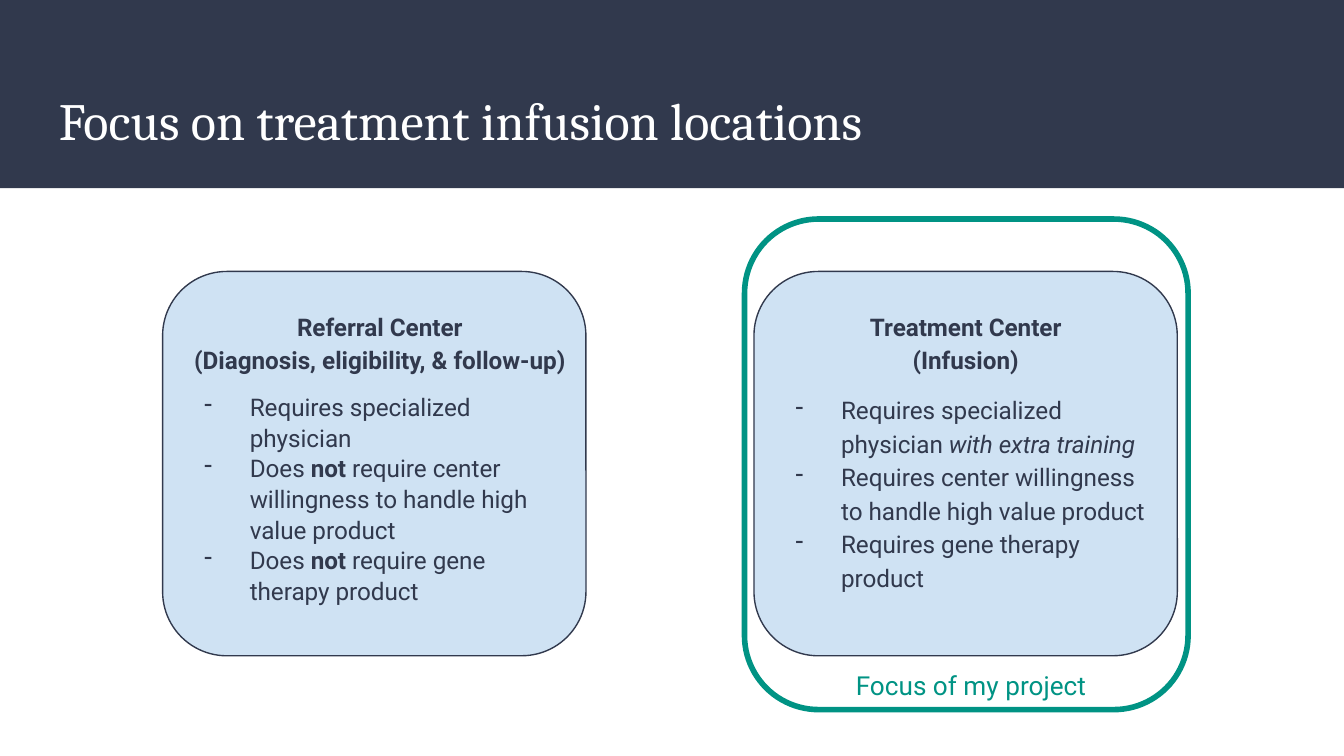
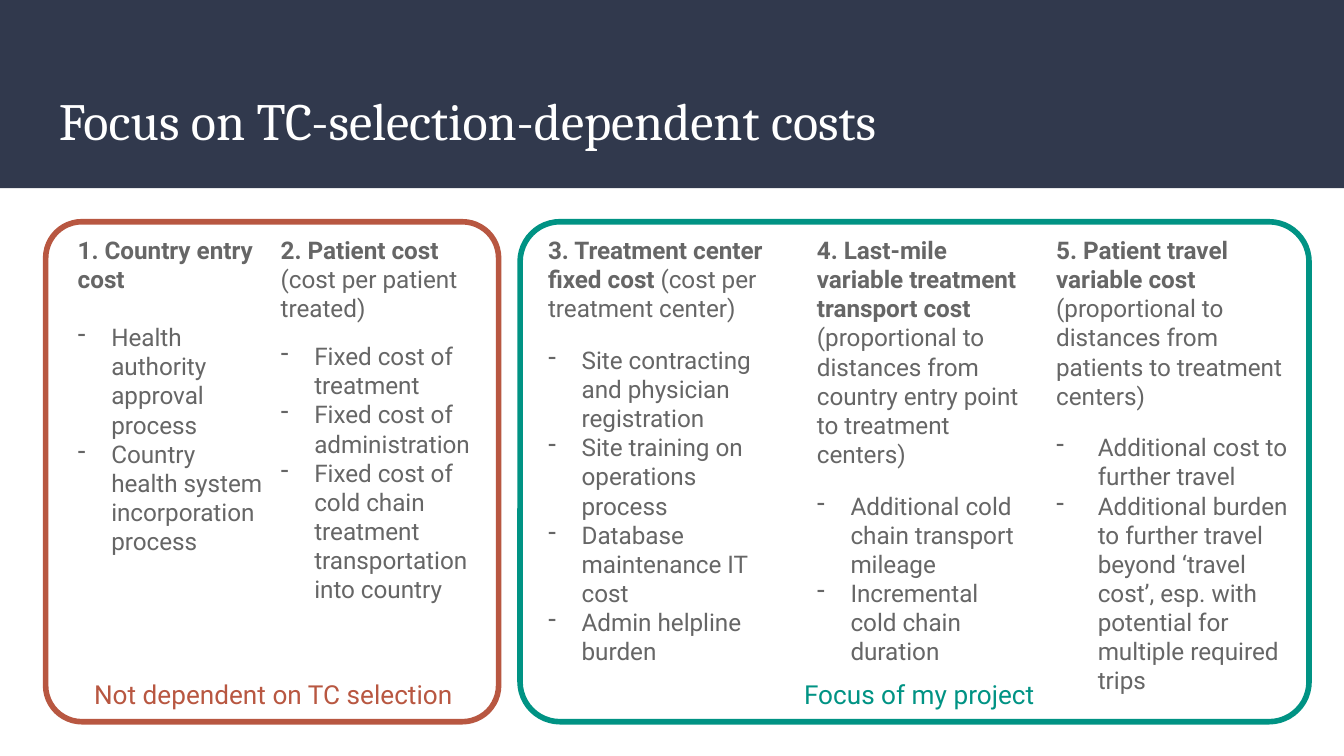
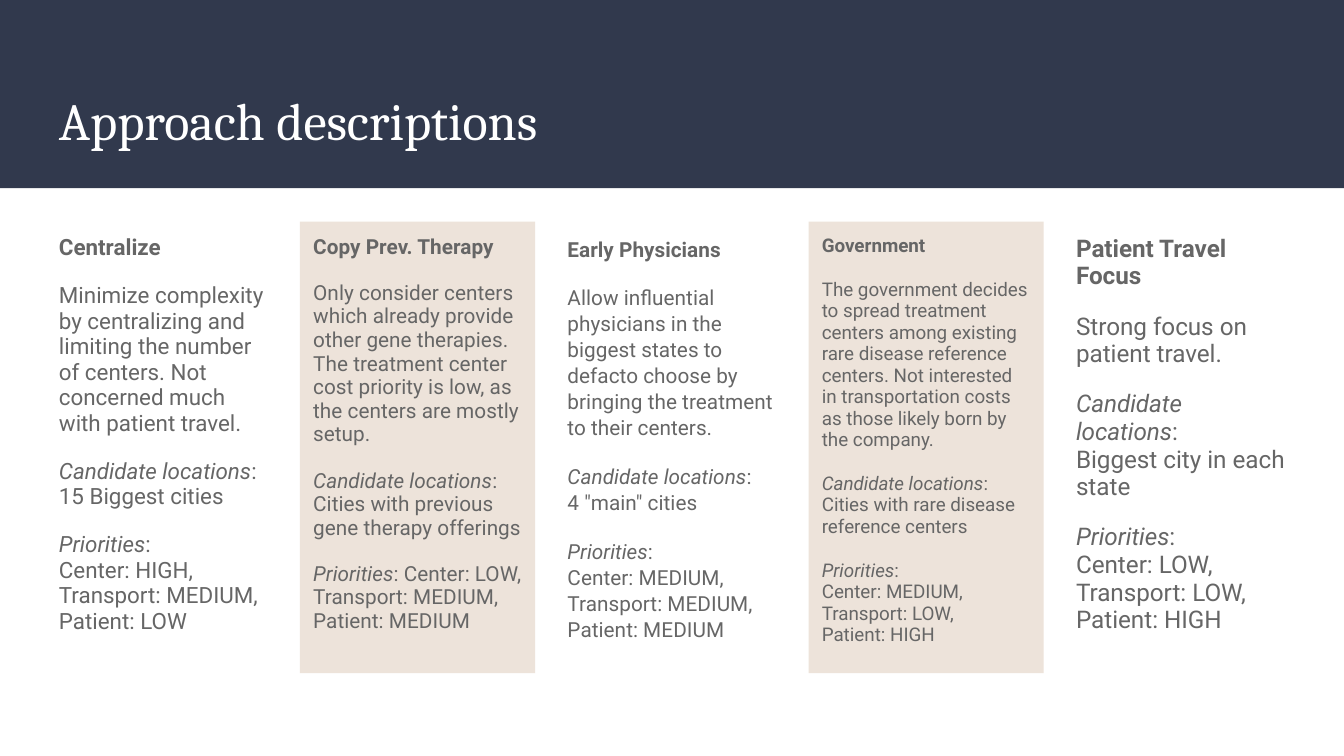
from dataclasses import dataclass
from typing import NamedTuple

from lxml.etree import SubElement
from pptx import Presentation
from pptx.dml.color import RGBColor
from pptx.enum.shapes import MSO_SHAPE
from pptx.enum.text import MSO_ANCHOR, PP_ALIGN
from pptx.oxml.ns import qn
from pptx.util import Emu, Inches, Pt

SLIDE_WIDTH, SLIDE_HEIGHT = Inches(10), Inches(5.625)
COLUMN, ROW = SLIDE_WIDTH / 100, SLIDE_HEIGHT / 45
NAVY, WHITE, GRAY = "31394D", "FFFFFF", "666666"
TEAL, RUST, PALE_BLUE, SAND = "009384", "B85741", "CFE2F3", "EDE3DA"
MARGIN, CONTENT_TOP, CONTENT_ROWS = 3.4, 13.2, 26.88


class Area(NamedTuple):
    left: float
    top: float
    columns: float
    rows: float

    def emu(self) -> tuple[Emu, ...]:
        units = (COLUMN, ROW, COLUMN, ROW)
        return tuple(Emu(round(share * unit)) for share, unit in zip(self, units))


class Run(NamedTuple):
    text: str
    bold: bool = False
    italic: bool = False


@dataclass(frozen=True)
class Para:
    runs: tuple[Run, ...]
    before: float = 0
    indent: float = 0


@dataclass(frozen=True)
class Style:
    size: float
    color: str
    spacing: float = 1.0
    align: PP_ALIGN = PP_ALIGN.LEFT
    font: str = "Roboto"
    anchor: MSO_ANCHOR = MSO_ANCHOR.TOP


@dataclass(frozen=True)
class Frame:
    area: Area
    color: str
    corner: float
    caption: str
    caption_area: Area


@dataclass(frozen=True)
class Center:
    left: float
    heading_left: float
    heading: tuple[str, str]
    spacing: float
    needs: tuple[Para, ...]


@dataclass(frozen=True)
class Cost:
    left: float
    columns: float
    name: str
    basis: str
    items: tuple[str, ...]
    gap: float = 12
    indent: float = 0.25


@dataclass(frozen=True)
class Approach:
    name: str
    size: float
    spacing: float
    details: tuple[Para, ...]


TITLE = Style(28, WHITE, font="Cambria", anchor=MSO_ANCHOR.MIDDLE)


def rgb(color: str) -> RGBColor:
    return RGBColor.from_string(color)


def plain(text: str, before: float = 0, indent: float = 0) -> Para:
    return Para((Run(text),), before, indent)


def bold(text: str) -> Para:
    return Para((Run(text, bold=True),))


def lead(label: str, rest: str = "") -> Para:
    return Para((Run(label, italic=True), Run(f": {rest}" if rest else ":")), 12)


def add_block(slide, kind: MSO_SHAPE, area: Area, fill: str,
              outline: str = "", weight: float = 0, corner: float = 0) -> None:
    block = slide.shapes.add_shape(kind, *area.emu())
    block.shadow.inherit = False
    block.fill.solid()
    block.fill.fore_color.rgb = rgb(fill)
    if outline:
        block.line.color.rgb = rgb(outline)
        block.line.width = Pt(weight)
    else:
        block.line.fill.background()
    if corner:
        block.adjustments[0] = corner


def add_dash(paragraph, indent: float, color: str) -> None:
    properties = paragraph._p.get_or_add_pPr()
    properties.set("marL", str(Inches(indent)))
    properties.set("indent", str(Inches(-0.34)))
    bullet_color = SubElement(properties, qn("a:buClr"))
    SubElement(bullet_color, qn("a:srgbClr")).set("val", color)
    SubElement(properties, qn("a:buChar")).set("char", "-")


def add_text(slide, area: Area, paras: tuple[Para, ...], style: Style) -> None:
    frame = slide.shapes.add_textbox(*area.emu()).text_frame
    frame.word_wrap = True
    frame.vertical_anchor = style.anchor
    frame.margin_left = frame.margin_right = Inches(0.1)
    frame.margin_top = frame.margin_bottom = Inches(0.1)
    for position, para in enumerate(paras):
        paragraph = frame.add_paragraph() if position else frame.paragraphs[0]
        paragraph.alignment = style.align
        paragraph.line_spacing = style.spacing
        paragraph.space_before = Pt(para.before)
        if para.indent:
            add_dash(paragraph, para.indent, style.color)
        paragraph.font.name = style.font
        paragraph.font.size = Pt(style.size)
        paragraph.font.color.rgb = rgb(style.color)
        uniform = len({run[1:] for run in para.runs}) == 1
        if uniform:
            paragraph.font.bold = para.runs[0].bold
            paragraph.font.italic = para.runs[0].italic
        for part in para.runs:
            run = paragraph.add_run()
            run.text = part.text
            if not uniform:
                run.font.bold, run.font.italic = part.bold, part.italic


def add_frame(slide, frame: Frame) -> None:
    add_block(slide, MSO_SHAPE.ROUNDED_RECTANGLE, frame.area, WHITE,
              frame.color, 3, frame.corner)
    add_text(slide, frame.caption_area, (plain(frame.caption),),
             Style(14, frame.color, align=PP_ALIGN.CENTER))


def add_titled_slide(deck, title: str):
    slide = deck.slides.add_slide(deck.slide_layouts[6])
    add_block(slide, MSO_SHAPE.RECTANGLE, Area(0, 0, 100, 11.2), NAVY)
    add_text(slide, Area(MARGIN, 4.4, 93.2, 5.44), (plain(title),), TITLE)
    return slide


def build_locations(deck) -> None:
    slide = add_titled_slide(deck, "Focus on treatment infusion locations")
    add_frame(slide, Frame(Area(55.4, 13.04, 33, 29.2), TEAL, 0.167,
                           "Focus of my project", Area(59.7, 39.04, 25.1, 2.8)))
    centers = (
        Center(12.1, 13.4, ("Referral Center", "(Diagnosis, eligibility, & follow-up)"), 1.05, (
            plain("Requires specialized physician", indent=0.5),
            *(Para((Run("Does "), Run("not", bold=True), Run(f" require {need}")), indent=0.5)
              for need in ("center willingness to handle high value product",
                           "gene therapy product")),
        )),
        Center(56.1, 57, ("Treatment Center", "(Infusion)"), 1.15, (
            Para((Run("Requires specialized physician "),
                  Run("with extra training", italic=True)), indent=0.5),
            plain("Requires center willingness to handle high value product", indent=0.5),
            plain("Requires gene therapy product", indent=0.5),
        )),
    )
    for center in centers:
        add_block(slide, MSO_SHAPE.ROUNDED_RECTANGLE, Area(center.left, 16.16, 31.5, 22.88),
                  PALE_BLUE, NAVY, 0.75, 0.167)
        add_text(slide, Area(center.left + 0.5, 22.48, 30.5, 15.28), center.needs,
                 Style(13, NAVY, center.spacing))
        add_text(slide, Area(center.heading_left, 17.52, 29.7, 4.64),
                 tuple(bold(line) for line in center.heading),
                 Style(13, NAVY, 1.15, PP_ALIGN.CENTER))


def build_costs(deck) -> None:
    slide = add_titled_slide(deck, "Focus on TC-selection-dependent costs")
    frames = (
        Frame(Area(MARGIN, CONTENT_TOP, 33.7, 29.76), RUST, 0.08,
              "Not dependent on TC selection", Area(6, 39.6, 28.7, 2.88)),
        Frame(Area(38.7, CONTENT_TOP, 58.7, 29.76), TEAL, 0.08,
              "Focus of my project", Area(46.3, 39.6, 44.2, 2.88)),
    )
    costs = (
        Cost(4.8, 16, "1. Country entry cost", "", (
            "Health authority approval process",
            "Country health system incorporation process"), gap=15.5),
        Cost(19.9, 17.8, "2. Patient cost ", "(cost per patient treated)", (
            "Fixed cost of treatment",
            "Fixed cost of administration",
            "Fixed cost of cold chain treatment transportation into country"), gap=10),
        Cost(39.8, 18.7, "3. Treatment center fixed cost ", "(cost per treatment center)", (
            "Site contracting and physician registration",
            "Site training on operations process",
            "Database maintenance IT cost",
            "Admin helpline burden")),
        Cost(59.8, 17.8, "4. Last-mile variable treatment transport cost ",
             "(proportional to distances from country entry point to treatment centers)", (
                 "Additional cold chain transport mileage",
                 "Incremental cold chain duration")),
        Cost(77.6, 19.9, "5. Patient travel variable cost ",
             "(proportional to distances from patients to treatment centers)", (
                 "Additional cost to further travel",
                 "Additional burden to further travel beyond ‘travel cost’, esp. with "
                 "potential for multiple required trips"), indent=0.31),
    )
    for frame in frames:
        add_frame(slide, frame)
    for cost in costs:
        basis = (Run(cost.basis),) if cost.basis else ()
        heading = Para((Run(cost.name, bold=True), *basis))
        items = (plain(item, 0 if position else cost.gap, cost.indent)
                 for position, item in enumerate(cost.items))
        add_text(slide, Area(cost.left, CONTENT_TOP, cost.columns, CONTENT_ROWS),
                 (heading, *items), Style(13, GRAY))


def build_approaches(deck) -> None:
    slide = add_titled_slide(deck, "Approach descriptions")
    approaches = (
        Approach("Centralize", 12, 0.95, (
            plain("Minimize complexity by centralizing and limiting the number of centers. "
                  "Not concerned much with patient travel.", 12),
            lead("Candidate locations", "15 Biggest cities"),
            lead("Priorities"),
            plain("Center: HIGH, Transport: MEDIUM, Patient: LOW"))),
        Approach("Copy Prev. Therapy", 11.1, 0.95, (
            plain("Only consider centers which already provide other gene therapies. "
                  "The treatment center cost priority is low, as the centers are mostly "
                  "setup.", 12),
            lead("Candidate locations", "Cities with previous gene therapy offerings"),
            lead("Priorities", "Center: LOW, Transport: MEDIUM, Patient: MEDIUM"))),
        Approach("Early Physicians", 11.1, 1.05, (
            plain("Allow influential physicians in the biggest states to defacto choose by "
                  "bringing the treatment to their centers.", 12),
            lead("Candidate locations"),
            plain('4 "main" cities'),
            lead("Priorities"),
            plain("Center: MEDIUM, Transport: MEDIUM, Patient: MEDIUM"))),
        Approach("Government", 10.1, 0.95, (
            plain("The government decides to spread treatment centers among existing rare "
                  "disease reference centers. Not interested in transportation costs as "
                  "those likely born by the company.", 12),
            lead("Candidate locations", "Cities with rare disease reference centers"),
            lead("Priorities"),
            plain("Center: MEDIUM, Transport: LOW,"),
            plain("Patient: HIGH"))),
        Approach("Patient Travel Focus", 13, 0.95, (
            plain("Strong focus on patient travel.", 12),
            lead("Candidate locations"),
            plain("Biggest city in each state"),
            lead("Priorities"),
            plain("Center: LOW, Transport: LOW, Patient: HIGH"))),
    )
    for position, approach in enumerate(approaches):
        area = Area(MARGIN + position * 18.92, CONTENT_TOP, 17.5, CONTENT_ROWS)
        if position % 2:
            add_block(slide, MSO_SHAPE.RECTANGLE, area, SAND)
        add_text(slide, area, (bold(approach.name), *approach.details),
                 Style(approach.size, GRAY, approach.spacing))


def main() -> None:
    deck = Presentation()
    deck.slide_width, deck.slide_height = SLIDE_WIDTH, SLIDE_HEIGHT
    build_locations(deck)
    build_costs(deck)
    build_approaches(deck)
    deck.save("out.pptx")


if __name__ == "__main__":
    main()
